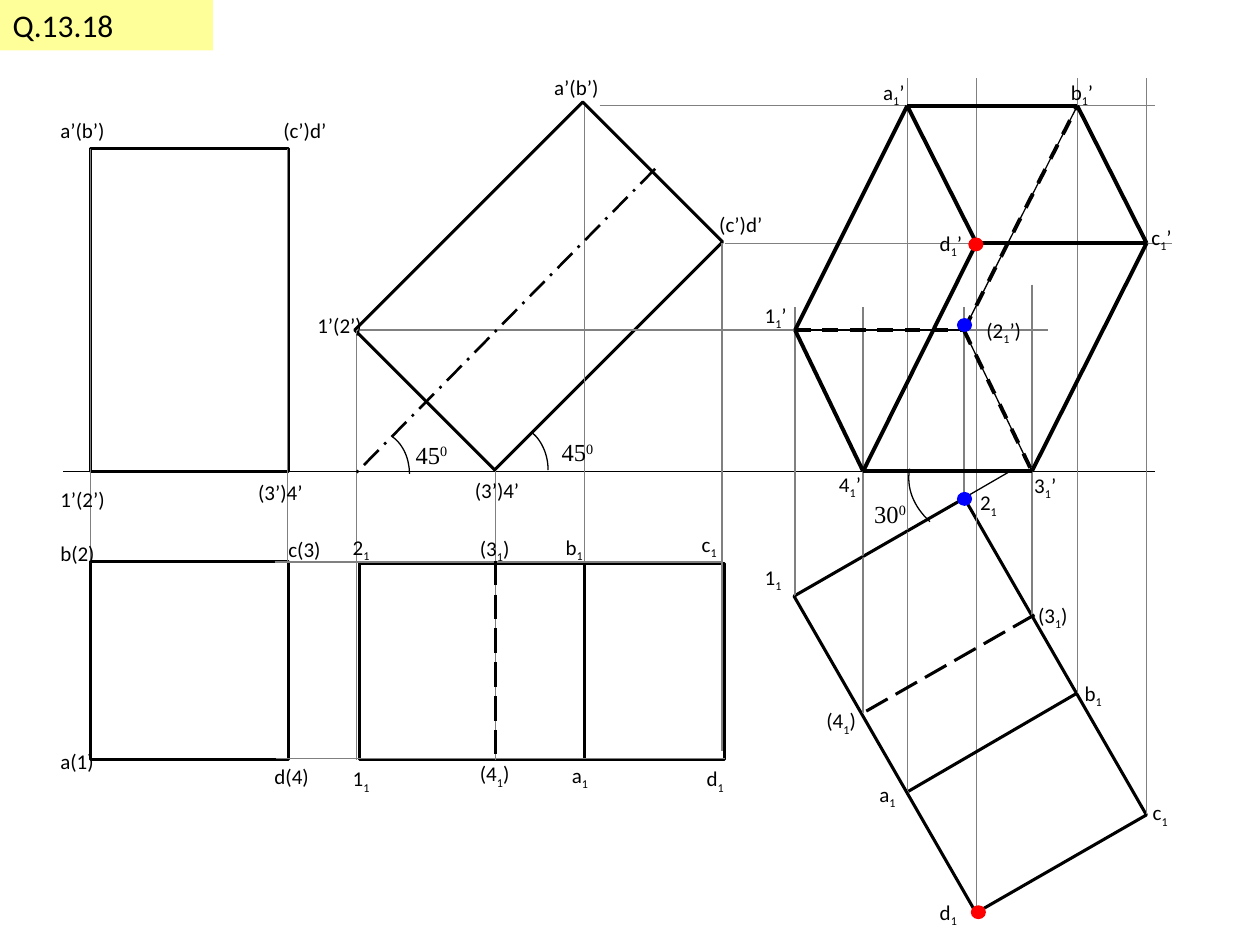
from lxml.etree import SubElement
from pptx import Presentation
from pptx.dml.color import RGBColor
from pptx.enum.dml import MSO_LINE
from pptx.enum.shapes import MSO_CONNECTOR, MSO_SHAPE
from pptx.enum.text import MSO_ANCHOR, MSO_AUTO_SIZE, PP_ALIGN
from pptx.oxml.ns import qn
from pptx.util import Pt

PX = 9144
BLACK, GREY = "000000", "808080"
color = RGBColor.from_string

prs = Presentation()
prs.slide_width, prs.slide_height = 1000 * PX, 750 * PX
slide = prs.slides.add_slide(prs.slide_layouts[5])
shapes = slide.shapes


def draw_line(x1, y1, x2, y2, stroke=BLACK, weight=0.75, dash=None):
    segment = shapes.add_connector(MSO_CONNECTOR.STRAIGHT, x1 * PX, y1 * PX, x2 * PX, y2 * PX)
    segment.line.color.rgb = color(stroke)
    segment.line.width = Pt(weight)
    if dash:
        segment.line.dash_style = dash
    SubElement(segment._element.spPr, qn("a:effectLst"))


def add_label(x, y, width, height, parts, size=12, font="Calibri", wrap=True):
    label = shapes.add_textbox(x * PX, y * PX, width * PX, height * PX)
    frame = label.text_frame
    frame.word_wrap = wrap
    frame.auto_size = MSO_AUTO_SIZE.SHAPE_TO_FIT_TEXT
    for text, baseline in parts:
        if text:
            run = frame.paragraphs[0].add_run()
            run.text = text
            run.font.size = Pt(size)
            run.font.name = font
            run.font.color.rgb = color(BLACK)
            if baseline:
                run._r.get_or_add_rPr().set("baseline", str(baseline))


title = shapes.title
title.left, title.top, title.width, title.height = 0, 0, 169 * PX, 40 * PX
title.fill.solid()
title.fill.fore_color.rgb = color("FFFF99")
title.text_frame.vertical_anchor = MSO_ANCHOR.MIDDLE
title.text_frame.auto_size = MSO_AUTO_SIZE.NONE
heading = title.text_frame.paragraphs[0]
heading.alignment = PP_ALIGN.LEFT
question = heading.add_run()
question.text = "Q.13.18"
question.font.size = Pt(18)
question.font.name = "Calibri"
question.font.color.rgb = color(BLACK)

draw_line(50, 374, 917, 374)

for x, y, width, height, angle in [
    (72, 446, 157, 157, 0),
    (72, 118, 157, 256, 0),
    (349, 99, 157, 256, 45),
    (285, 447, 290, 156, 0),
    (625, 482, 290, 156, 60.1),
]:
    view = shapes.add_shape(MSO_SHAPE.RECTANGLE, x * PX, y * PX, width * PX, height * PX)
    view.rotation = angle
    view.shadow.inherit = False
    view.fill.background()
    view.line.color.rgb = color(BLACK)
    view.line.width = Pt(1.75)

for x, top, bottom in [
    (72, 118, 447), (228, 118, 447), (283, 262, 603), (393, 374, 603),
    (464, 84, 602), (573, 193, 596), (631, 244, 473), (685, 244, 566),
    (720, 62, 628), (775, 62, 724), (765, 244, 396), (819, 226, 488),
    (855, 62, 550), (910, 62, 646),
]:
    draw_line(x, top, x, bottom, GREY)

for y, left, right in [
    (446, 218, 573), (602, 219, 575), (84, 476, 917), (193, 575, 930), (262, 286, 832),
]:
    draw_line(left, y, right, y, GREY)

draw_line(464, 447, 464, 602, weight=1.75)
draw_line(393, 445, 393, 600, weight=1.75, dash=MSO_LINE.LONG_DASH)
draw_line(855, 550, 721, 628, weight=1.75)
draw_line(821, 488, 683, 567, weight=1.75, dash=MSO_LINE.LONG_DASH)
draw_line(520, 134, 283, 375, weight=1.5, dash=MSO_LINE.LONG_DASH_DOT)
draw_line(631, 473, 800, 375)

corners = {
    "a": (720, 84), "b": (855, 84), "c": (910, 193), "d": (775, 193),
    "1": (631, 262), "2": (765, 262), "3": (819, 374), "4": (685, 374),
}
hidden_edges = ["23", "12", "2b"]
visible_edges = ["dc", "ad", "d4", "a1", "c3", "ab", "43", "14", "bc"]
for start, end in hidden_edges + visible_edges:
    draw_line(*corners[start], *corners[end])
for start, end in hidden_edges:
    draw_line(*corners[start], *corners[end], weight=2.25, dash=MSO_LINE.DASH)
for start, end in visible_edges:
    draw_line(*corners[start], *corners[end], weight=2.25)

for x, y, hue in [
    (771, 719, "FF0000"), (769, 189, "FF0000"), (760, 391, "0000FF"), (760, 253, "0000FF"),
]:
    dot = shapes.add_shape(MSO_SHAPE.OVAL, x * PX, y * PX, 11 * PX, 10 * PX)
    dot.shadow.inherit = False
    dot.fill.solid()
    dot.fill.fore_color.rgb = color(hue)
    dot.line.color.rgb = color(hue)
    dot.line.width = Pt(0.75)

STEPS = 16
for bezier in [
    [(423, 344), (430, 350), (435, 361), (435, 373)],
    [(312, 347), (320, 353), (325, 364), (325, 376)],
    [(722, 372), (719, 387), (725, 402), (738, 414)],
]:
    curve = []
    for step in range(STEPS + 1):
        t = step / STEPS
        weights = ((1 - t) ** 3, 3 * t * (1 - t) ** 2, 3 * t * t * (1 - t), t ** 3)
        curve.append([PX * sum(w * p[axis] for w, p in zip(weights, bezier)) for axis in (0, 1)])
    builder = shapes.build_freeform(*curve[0], scale=1)
    builder.add_line_segments(curve[1:], close=False)
    arc = builder.convert_to_shape()
    arc.shadow.inherit = False
    arc.fill.background()
    arc.line.color.rgb = color(BLACK)
    arc.line.width = Pt(0.75)

for x, y, degrees in [(436, 342, "45"), (684, 391, "30"), (320, 344, "45")]:
    add_label(x, y, 46, 33, [(degrees, 0), ("0", 30000)], 14, "Times New Roman", False)

for x, y, width, name in [
    (38, 589, 68, "a(1)"), (38, 424, 68, "b(2)"), (219, 421, 68, "c(3)"), (208, 601, 56, "d(4)"),
    (38, 88, 68, "a’(b’)"), (215, 88, 68, "(c’)d’"),
    (38, 381, 68, "1’(2’)"), (195, 376, 68, "(3’)4’"),
    (430, 54, 68, "a’(b’)"), (561, 163, 68, "(c’)d’"),
    (242, 243, 68, "1’(2’)"), (367, 374, 68, "(3’)4’"),
]:
    add_label(x, y, width, 30, [(name, 0)])

for x, y, width, before, after in [
    (444, 600, 59, "a", ""), (439, 419, 59, "b", ""), (547, 417, 59, "c", ""),
    (551, 603, 59, "d", ""), (270, 603, 48, "1", ""), (270, 419, 59, "2", ""),
    (371, 420, 59, "(3", ")"), (371, 599, 59, "(4", ")"),
    (688, 615, 59, "a", ""), (851, 535, 59, "b", ""), (905, 630, 49, "c", ""),
    (736, 709, 59, "d", ""), (597, 443, 59, "1", ""), (768, 384, 59, "2", ""),
    (814, 473, 51, "(3", ")"), (646, 557, 59, "(4", ")"),
    (691, 58, 51, "a", "’"), (840, 58, 51, "b", "’"), (904, 173, 51, "c", "’"),
    (736, 178, 51, "d", "’"), (597, 235, 59, "1", "’"), (773, 247, 55, "(2", "’)"),
    (811, 370, 55, "3", "’"), (656, 369, 55, "4", "’"),
]:
    add_label(x, y, width, 30, [(before, 0), ("1", -25000), (after, 0)])

prs.save("out.pptx")
